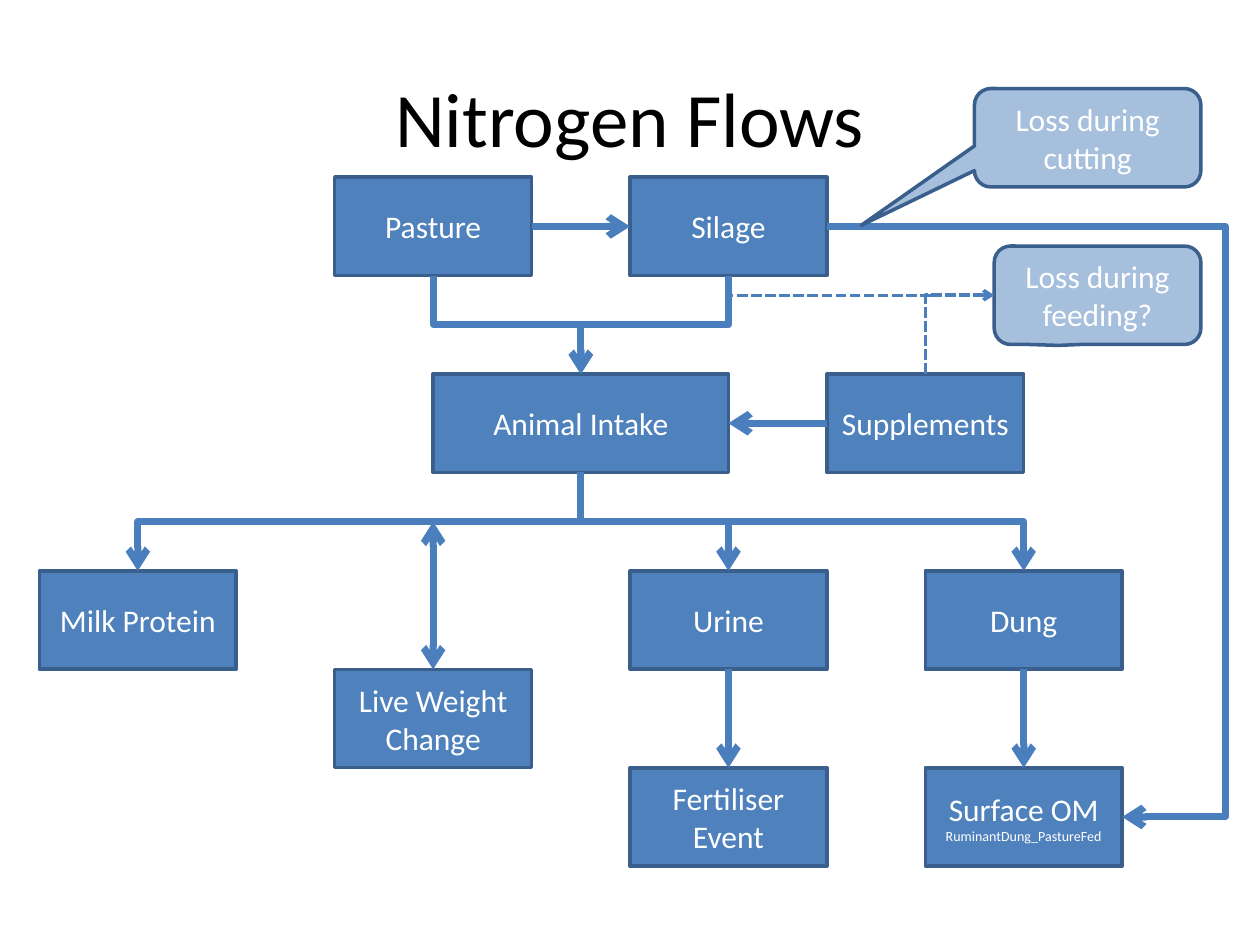
from lxml import etree
from pptx import Presentation, util as u
from pptx.dml.color import RGBColor
from pptx.enum import dml, shapes, text
from pptx.oxml.ns import qn

BLUE = RGBColor(0x4F, 0x81, 0xBD)
EDGE = RGBColor(0x3A, 0x5F, 0x8C)
FLOW = RGBColor(0x4B, 0x7E, 0xBC)
WHITE = RGBColor(0xFF, 0xFF, 0xFF)
BLACK = RGBColor(0, 0, 0)
WIDTH, HEIGHT = 25.4, 19.05
CELL = WIDTH / 12.8
TOP, LEFT, BOTTOM, RIGHT = range(4)


def grid(*cells):
    return [u.Cm(n * CELL) for n in cells]


def side(box, site):
    mid_x, mid_y = box.left + box.width // 2, box.top + box.height // 2
    return [(mid_x, box.top), (box.left, mid_y),
            (mid_x, box.top + box.height), (box.left + box.width, mid_y)][site]


class Chart:
    """Draws boxes, callouts and flow lines on one slide in a shared style."""

    font = "Calibri"

    def __init__(self, slide):
        self.items = slide.shapes

    def label(self, shape, words, color, sizes):
        frame = shape.text_frame
        frame.word_wrap = True
        frame.vertical_anchor = text.MSO_ANCHOR.MIDDLE
        frame.text = words
        for para, size in zip(frame.paragraphs, sizes):
            para.alignment = text.PP_ALIGN.CENTER
            para.font.name = self.font
            para.font.size = u.Pt(size)
            para.font.color.rgb = color

    def title(self, words):
        area = [u.Cm(n) for n in (1.27, 0.76, 22.86, 3.18)]
        self.label(self.items.add_textbox(*area), words, BLACK, [44])

    def box(self, words, x, y, wide=2, sizes=(18, 18), kind=shapes.MSO_SHAPE.RECTANGLE):
        shape = self.items.add_shape(kind, *grid(x, y, wide, 1))
        shape.shadow.inherit = False
        shape.fill.solid()
        shape.fill.fore_color.rgb = BLUE
        shape.line.color.rgb = EDGE
        shape.line.width = u.Pt(2)
        self.label(shape, words, WHITE, sizes)
        return shape

    def callout(self, words, x, y, wide, tip):
        shape = self.box(words, x, y, wide, kind=shapes.MSO_SHAPE.ROUNDED_RECTANGULAR_CALLOUT)
        shape.adjustments[0], shape.adjustments[1] = tip
        color = shape._element.spPr.find(".//" + qn("a:srgbClr"))
        etree.SubElement(color, qn("a:alpha"), val="50000")
        return shape

    def line(self, kind, start, end, ends=("tailEnd",), dashed=False):
        link = self.items.add_connector(kind, *start, *end)
        link.line.color.rgb = FLOW
        link.line.width = u.Pt(2 if dashed else 4)
        if dashed:
            link.line.dash_style = dml.MSO_LINE.SQUARE_DOT
        props = link._element.spPr
        for name in ends:
            etree.SubElement(props.find(qn("a:ln")), qn("a:" + name), type="arrow")
        etree.SubElement(props, qn("a:effectLst"))
        return link

    def arrow(self, first, out, last, into):
        link = self.line(shapes.MSO_CONNECTOR.STRAIGHT, side(first, out), side(last, into))
        link.begin_connect(first, out)
        link.end_connect(last, into)

    def drop(self, start, end, preset="bentConnector3", **style):
        (x1, y1), (x2, y2) = start, end
        mid_x, mid_y = (x1 + x2) // 2, (y1 + y2) // 2
        half_w, half_h = abs(y2 - y1) // 2, abs(x2 - x1) // 2
        link = self.line(shapes.MSO_CONNECTOR.ELBOW, (mid_x - half_w, mid_y - half_h),
                         (mid_x + half_w, mid_y + half_h), **style)
        frame, shape = link._element.spPr[:2]
        same = (x2 > x1) == (y2 > y1)
        frame.set("rot", str((270 if same else 90) * 60000))
        if same or y2 < y1:
            frame.set("flipH", "1")
        if y2 < y1:
            frame.set("flipV", "1")
        shape.set("prst", preset)

    def detour(self, start, end, bend):
        link = self.line(shapes.MSO_CONNECTOR.ELBOW, start, end)
        points = link._element.spPr.find(".//" + qn("a:avLst"))
        etree.SubElement(points, qn("a:gd"), name="adj1", fmla=f"val {round(bend * 100000)}")


def main():
    deck = Presentation()
    deck.slide_width, deck.slide_height = u.Cm(WIDTH), u.Cm(HEIGHT)
    chart = Chart(deck.slides.add_slide(deck.slide_layouts[6]))
    chart.title("Nitrogen Flows")

    pasture = chart.box("Pasture", 3.4, 1.8)
    silage = chart.box("Silage", 6.4, 1.8)
    feed = chart.box("Supplements", 8.4, 3.8)
    intake = chart.box("Animal Intake", 4.4, 3.8, 3)
    milk = chart.box("Milk Protein", 0.4, 5.8)
    weight = chart.box("Live Weight Change", 3.4, 6.8)
    urine = chart.box("Urine", 6.4, 5.8)
    dung = chart.box("Dung", 9.4, 5.8)
    event = chart.box("Fertiliser\nEvent", 6.4, 7.8)
    surface = chart.box("Surface OM\nRuminantDung_PastureFed", 9.4, 7.8, sizes=(18, 8))

    chart.arrow(pasture, RIGHT, silage, LEFT)
    chart.arrow(feed, LEFT, intake, RIGHT)
    chart.arrow(urine, BOTTOM, event, TOP)
    chart.arrow(dung, BOTTOM, surface, TOP)
    for source in (pasture, silage):
        chart.drop(side(source, BOTTOM), side(intake, TOP))
    for target in (milk, urine, dung):
        chart.drop(side(intake, BOTTOM), side(target, TOP))
    change = chart.line(shapes.MSO_CONNECTOR.STRAIGHT, grid(4.4, 5.3), side(weight, TOP),
                        ends=("headEnd", "tailEnd"))
    change.end_connect(weight, TOP)
    chart.detour(side(silage, RIGHT), side(surface, RIGHT), 1.35)

    chart.callout("Loss during cutting", 9.9, 0.9, 2.3, (-1, 0.89))
    feeding = chart.callout("Loss during feeding?", 10.1, 2.5, 2.1, (-0.19, 0.51))
    chart.drop(side(silage, BOTTOM), grid(9.5, 3), "bentConnector2", ends=(), dashed=True)
    chart.drop(side(feed, TOP), side(feeding, LEFT), "bentConnector2", dashed=True)

    deck.save("out.pptx")


if __name__ == "__main__":
    main()
